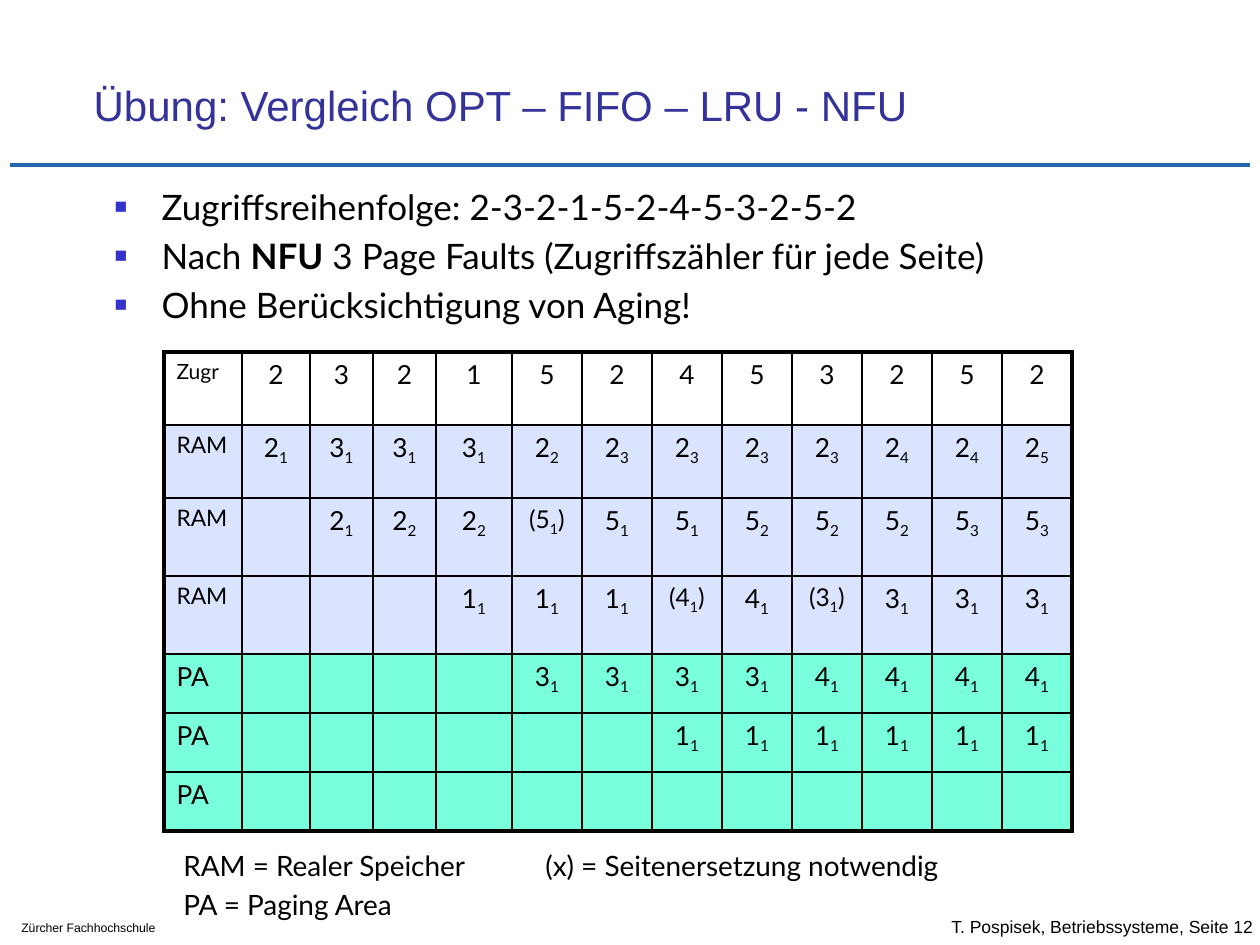
from lxml import etree
from pptx import Presentation
from pptx.dml.color import RGBColor
from pptx.enum.shapes import MSO_CONNECTOR
from pptx.enum.text import MSO_ANCHOR, MSO_AUTO_SIZE, PP_ALIGN
from pptx.oxml.ns import qn
from pptx.util import Pt

PX = 914400 / 126
CENTER, LEFT = PP_ALIGN.CENTER, PP_ALIGN.LEFT
TOP, MIDDLE, BOTTOM = MSO_ANCHOR.TOP, MSO_ANCHOR.MIDDLE, MSO_ANCHOR.BOTTOM
NO_AUTOFIT = MSO_AUTO_SIZE.NONE
BODY_FONT, MASTER_FONT = "Lato", "Arial"
COLORS = {
    "text": "000000", "title": "333399", "bullet": "3333CC", "rule": "2266AB",
    "access": "FFFFFF", "ram": "DAE4FF", "paging": "79FFDC",
}
OUTER_BORDER, INNER_BORDER = 2.21, 0.96
HANGING = 47

COLUMN_WIDTHS = [78, 68, 63, 63, 76] + [70] * 8
# label, label size, fill, row height, page entries: "_" starts a subscript digit, "-" is empty
MEMORY_ROWS = [
    ("Zugr", 12, "access", 73, "2 3 2 1 5 2 4 5 3 2 5 2"),
    ("RAM", 13, "ram", 73, "2_1 3_1 3_1 3_1 2_2 2_3 2_3 2_3 2_3 2_4 2_4 2_5"),
    ("RAM", 13, "ram", 78, "- 2_1 2_2 2_2 (5_1) 5_1 5_1 5_2 5_2 5_2 5_3 5_3"),
    ("RAM", 13, "ram", 78, "- - - 1_1 1_1 1_1 (4_1) 4_1 (3_1) 3_1 3_1 3_1"),
    ("PA", 15, "paging", 59, "- - - - 3_1 3_1 3_1 3_1 4_1 4_1 4_1 4_1"),
    ("PA", 15, "paging", 59, "- - - - - - 1_1 1_1 1_1 1_1 1_1 1_1"),
    ("PA", 15, "paging", 59, "- - - - - - - - - - - -"),
]


def px(length):
    return round(length * PX)


def color(name):
    return RGBColor.from_string(COLORS[name])


def write(paragraph, parts, size, font=BODY_FONT, fill="text", align=LEFT,
          space_before=0, hanging=0, bullet=None):
    """Fill a paragraph with (text, style) parts; style is "", "bold" or "sub"."""
    properties = paragraph._p.get_or_add_pPr()
    if hanging:
        properties.set("marL", str(px(hanging)))
        properties.set("indent", str(-px(hanging)))
    if bullet:
        bullet_color = etree.SubElement(properties, qn("a:buClr"))
        etree.SubElement(bullet_color, qn("a:srgbClr"), val=COLORS["bullet"])
        etree.SubElement(properties, qn("a:buSzPct"), val="60000")
        etree.SubElement(properties, qn("a:buFont"), typeface=MASTER_FONT)
        etree.SubElement(properties, qn("a:buChar"), char=bullet)
    paragraph.alignment = align
    paragraph.space_before = Pt(space_before)
    for text, style in parts:
        run = paragraph.add_run()
        run.text = text
        run.font.name = font
        run.font.size = Pt(size)
        run.font.bold = style == "bold"
        run.font.color.rgb = color(fill)
        if style == "sub":
            run._r.get_or_add_rPr().set("baseline", "-25000")


def write_lines(frame, lines, space_before=0, **style):
    for index, parts in enumerate(lines):
        paragraph = frame.add_paragraph() if index else frame.paragraphs[0]
        write(paragraph, parts, space_before=space_before if index else 0, **style)


def place(shape, box, anchor=TOP, wrap=True):
    shape.left, shape.top, shape.width, shape.height = map(px, box)
    frame = shape.text_frame
    frame.auto_size = NO_AUTOFIT
    frame.word_wrap = wrap
    frame.vertical_anchor = anchor
    return frame


def add_text_box(slide, box, lines, anchor=TOP, wrap=True, **style):
    shape = slide.shapes.add_textbox(*map(px, box))
    write_lines(place(shape, box, anchor, wrap), lines, **style)


def add_header(slide, box):
    left, top, width, height = box
    frame = place(slide.shapes.title, (left + 71, top + 32, 1074, 94), BOTTOM)
    write_lines(frame, [[("Übung: Vergleich OPT – FIFO – LRU - NFU", "")]],
                size=24, font=MASTER_FONT, fill="title")
    rule = slide.shapes.add_connector(
        MSO_CONNECTOR.STRAIGHT, px(left), px(top + height), px(left + width), px(top + height))
    rule.line.color.rgb = color("rule")
    rule.line.width = Pt(2.5)
    etree.SubElement(rule._element.spPr, qn("a:effectLst"))


def add_findings(slide, box):
    lines = [
        [("Zugriffsreihenfolge: 2-3-2-1-5-2-4-5-3-2-5-2", "")],
        [("Nach ", ""), ("NFU", "bold"),
         (" 3 Page Faults (Zugriffszähler für jede Seite)", "")],
        [("Ohne Berücksichtigung von Aging!", "")],
    ]
    write_lines(place(slide.placeholders[1], box), lines, size=20, space_before=4,
                hanging=HANGING, bullet="■")


def set_borders(cell, widths):
    """Draw the cell's sides; widths are points for left, right, top, bottom."""
    properties = cell._tc.get_or_add_tcPr()
    for index, (side, width) in enumerate(zip("LRTB", widths)):
        line = etree.Element(qn(f"a:ln{side}"), w=str(Pt(width)))
        solid = etree.SubElement(line, qn("a:solidFill"))
        etree.SubElement(solid, qn("a:srgbClr"), val=COLORS["text"])
        properties.insert(index, line)


def page_parts(entry):
    page, _, rest = entry.partition("_")
    parts = [(page, ""), (rest[:1], "sub"), (rest[1:], "")]
    return [part for part in parts if part[0]]


def add_memory_table(slide, left, top):
    row_count, column_count = len(MEMORY_ROWS), len(COLUMN_WIDTHS)
    height = sum(row[3] for row in MEMORY_ROWS)
    table = slide.shapes.add_table(row_count, column_count, px(left), px(top),
                                   px(sum(COLUMN_WIDTHS)), px(height)).table
    for column, width in zip(table.columns, COLUMN_WIDTHS):
        column.width = px(width)
    for r, (label, label_size, fill, row_height, entries) in enumerate(MEMORY_ROWS):
        table.rows[r].height = px(row_height)
        for c, entry in enumerate([label] + entries.split()):
            cell = table.cell(r, c)
            cell.fill.solid()
            cell.fill.fore_color.rgb = color(fill)
            on_edge = (c == 0, c == column_count - 1, r == 0, r == row_count - 1)
            set_borders(cell, [OUTER_BORDER if edge else INNER_BORDER for edge in on_edge])
            paragraph = cell.text_frame.paragraphs[0]
            if c == 0:
                cell.margin_right = px(4)
                write(paragraph, [(entry, "")], label_size)
            elif entry != "-":
                size = 14 if entry.startswith("(") else 15
                write(paragraph, page_parts(entry), size, align=CENTER)


def add_legend(slide, box):
    lines = [
        [("RAM = Realer Speicher\t\t(x) = Seitenersetzung notwendig", "")],
        [("PA = Paging Area", "")],
    ]
    add_text_box(slide, box, lines, size=16, space_before=3.2, hanging=HANGING)


def add_footer(slide, left, top):
    add_text_box(slide, (left, top + 5, 217, 28), [[("Zürcher Fachhochschule", "")]],
                 size=7, font=MASTER_FONT)
    add_text_box(slide, (left + 930, top, 321, 36),
                 [[("T. Pospisek, Betriebssysteme, Seite 12", "")]],
                 anchor=MIDDLE, wrap=False, size=10, font=MASTER_FONT)


def main():
    presentation = Presentation()
    presentation.slide_width, presentation.slide_height = px(1260), px(945)
    slide = presentation.slides.add_slide(presentation.slide_layouts[1])
    add_header(slide, (10, 10, 1240, 155))
    add_findings(slide, (102, 179, 1053, 136))
    add_memory_table(slide, 164, 352)
    add_legend(slide, (171, 842, 1008, 84))
    add_footer(slide, 9, 909)
    presentation.save("out.pptx")


if __name__ == "__main__":
    main()
